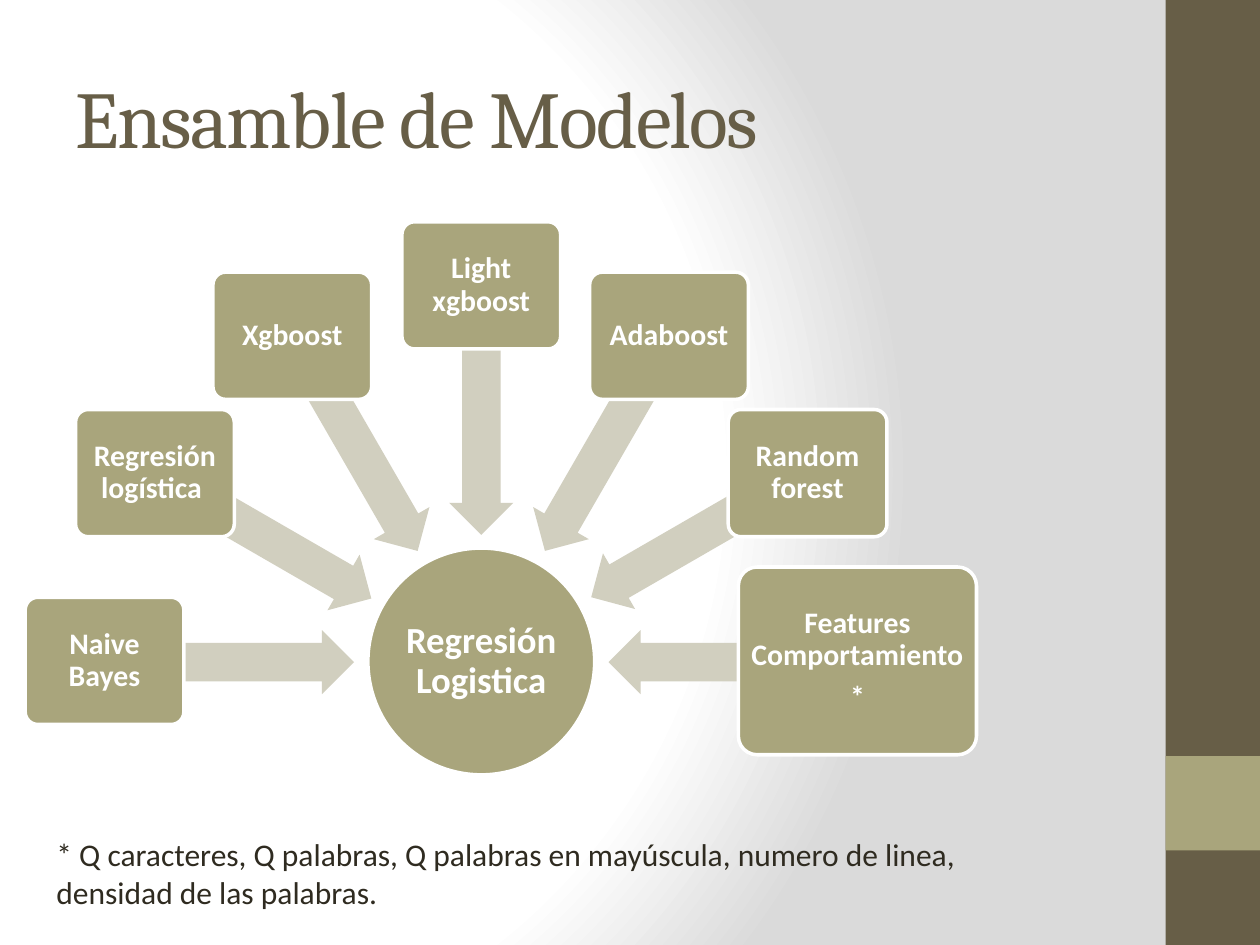
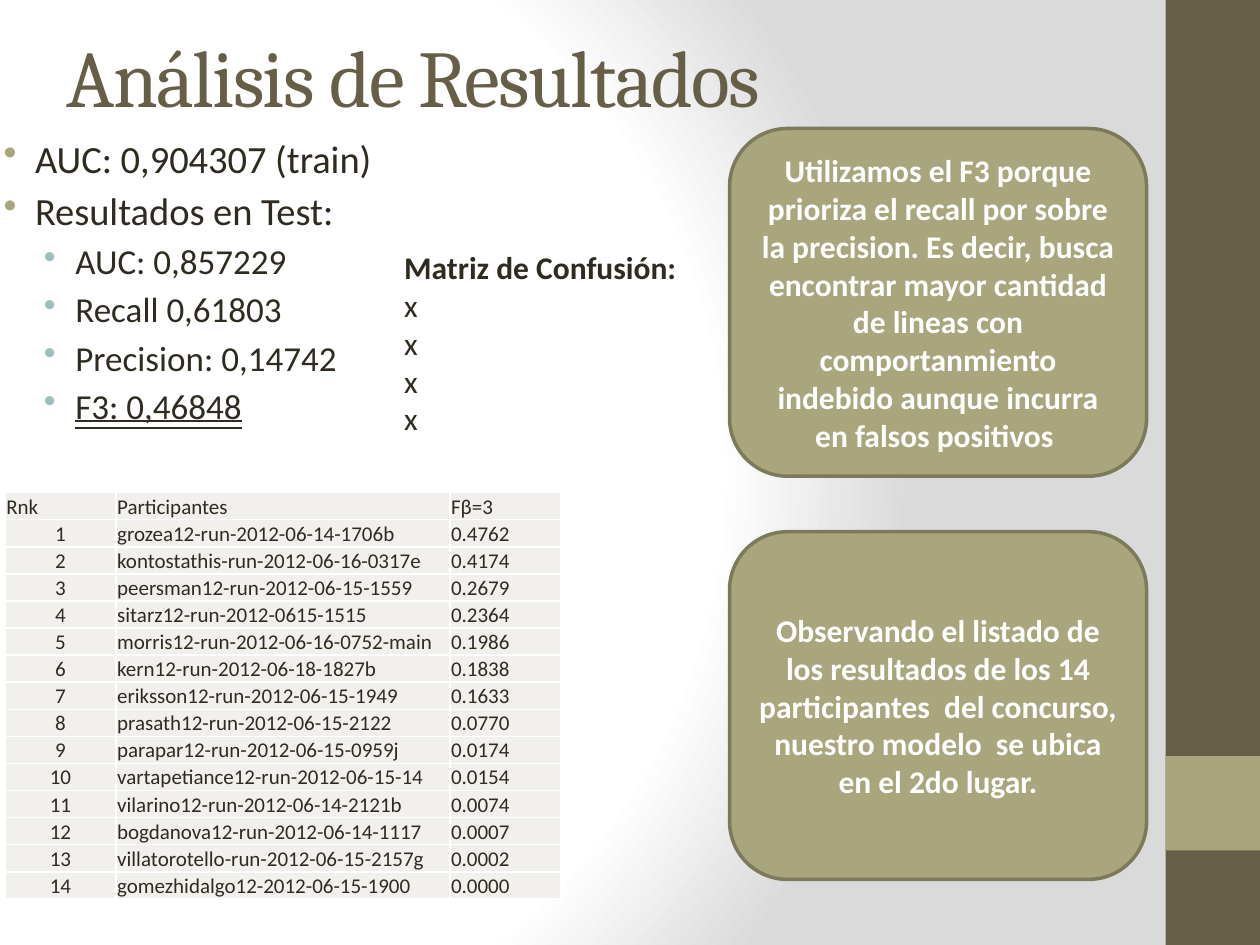
from dataclasses import dataclass
from math import cos, radians, sin

from lxml.etree import SubElement
from pptx import Presentation
from pptx.dml.color import RGBColor as Rgb
from pptx.enum.shapes import MSO_SHAPE as Kind
from pptx.enum.text import MSO_ANCHOR as Anchor, MSO_AUTO_SIZE as Fit
from pptx.enum.text import MSO_UNDERLINE as Under, PP_ALIGN as Align
from pptx.oxml import parse_xml
from pptx.oxml.ns import nsdecls, qn
from pptx.util import Pt


@dataclass(frozen=True)
class Theme:
    dark: str = "675E47"
    olive: str = "A9A57C"
    edge: str = "7D7A5C"
    pale: str = "D1CFBF"
    teal: str = "9CBEBD"
    cell: str = "F1F0EC"
    ink: str = "2F2B20"
    white: str = "FFFFFF"
    grey: str = "DADADA"
    head: str = "Cambria"
    body: str = "Calibri"
    title: int = 46
    top: int = 22
    hub: int = 21
    sub: int = 20
    note: int = 18
    node: int = 17
    small: int = 12


T = Theme()
UNIT = 9144  # EMU in one px, 100 px to the inch

MODELS = ["Naive Bayes", "Regresión logística ", "Xgboost", "Light xgboost",
          "Adaboost", "Random forest", "Features Comportamiento\n*"]
FOOT = ("* Q caracteres, Q palabras, Q palabras en mayúscula, "
        "numero de linea, densidad de las palabras.")
SCORES = [(0, "AUC: 0,904307 (train)"), (0, "Resultados en Test:"),
          (1, "AUC: 0,857229"), (1, "Recall 0,61803"),
          (1, "Precision: 0,14742"), (1, "F3: 0,46848")]
WHY = ("Utilizamos el F3 porque prioriza el recall por sobre la precision. "
       "Es decir, busca encontrar mayor cantidad de lineas con "
       "comportanmiento indebido aunque incurra en falsos positivos ")
PLACE = ("Observando el listado de los resultados de los 14 participantes  "
         "del concurso, nuestro modelo  se ubica en el 2do lugar.")
RUNS = [("grozea12-run-2012-06-14-1706b", "0.4762"),
        ("kontostathis-run-2012-06-16-0317e", "0.4174"),
        ("peersman12-run-2012-06-15-1559", "0.2679"),
        ("sitarz12-run-2012-0615-1515", "0.2364"),
        ("morris12-run-2012-06-16-0752-main", "0.1986"),
        ("kern12-run-2012-06-18-1827b", "0.1838"),
        ("eriksson12-run-2012-06-15-1949", "0.1633"),
        ("prasath12-run-2012-06-15-2122", "0.0770"),
        ("parapar12-run-2012-06-15-0959j", "0.0174"),
        ("vartapetiance12-run-2012-06-15-14", "0.0154"),
        ("vilarino12-run-2012-06-14-2121b", "0.0074"),
        ("bogdanova12-run-2012-06-14-1117", "0.0007"),
        ("villatorotello-run-2012-06-15-2157g", "0.0002"),
        ("gomezhidalgo12-2012-06-15-1900", "0.0000")]


def px(*vals):
    return [round(v) * UNIT for v in vals]


# Text
def style(par, size, color=T.ink, bold=False, name=T.body, align=Align.LEFT):
    par.alignment = align
    font = par.font
    font.name, font.size, font.bold = name, Pt(size), bold
    font.color.rgb = Rgb.from_string(color)


def pad(item, left, top, right, bottom):
    (item.margin_left, item.margin_top,
     item.margin_right, item.margin_bottom) = px(left, top, right, bottom)


def label(shape, text, size, inset=None):
    frame = shape.text_frame
    frame.word_wrap = True
    frame.vertical_anchor = Anchor.MIDDLE
    frame.text = text
    for par in frame.paragraphs:
        style(par, size, T.white, True, align=Align.CENTER)
    if inset is not None:
        pad(frame, *[inset] * 4)
        for par in frame.paragraphs:
            par.line_spacing = 0.9
        for par in frame.paragraphs[:-1]:
            par.space_after = Pt(6)


def write(slide, box, text, size, fit=Fit.SHAPE_TO_FIT_TEXT):
    frame = slide.shapes.add_textbox(*px(*box)).text_frame
    frame.word_wrap = True
    frame.auto_size = fit
    frame.text = text
    for par in frame.paragraphs:
        style(par, size)
    return frame.paragraphs


def bullet(par, level):
    par.space_before = Pt(3.6)
    props = par._p.get_or_add_pPr()
    left, hang = px((38, 70)[level], -25)
    props.set("marL", str(left))
    props.set("indent", str(hang))
    color = (T.olive, T.teal)[level]
    for xml in (f'<a:buClr {nsdecls("a")}><a:srgbClr val="{color}"/></a:buClr>',
                f'<a:buChar {nsdecls("a")} char="•"/>'):
        props.find(qn("a:defRPr")).addprevious(parse_xml(xml))


# Shapes
def draw(slide, kind, box, fill, line=None, adj=(), turn=0):
    shape = slide.shapes.add_shape(kind, *px(*box))
    shape.shadow.inherit = False
    shape.fill.solid()
    shape.fill.fore_color.rgb = Rgb.from_string(fill)
    if line:
        shape.line.color.rgb = Rgb.from_string(line)
        shape.line.width = Pt(2)
    else:
        shape.line.fill.background()
    for i, val in enumerate(adj):
        shape.adjustments[i] = val
    shape.rotation = turn
    return shape


def around(x, y, wide, high):
    return x - wide / 2, y - high / 2, wide, high


# Shared parts
def backdrop(master):
    master.background.fill.gradient()
    old = master.element.find(".//" + qn("a:gradFill"))
    stops = "".join(
        f'<a:gs pos="{pos}000"><a:srgbClr val="{color}"/></a:gs>'
        for pos, color in ((0, T.white), (75, T.white), (100, T.grey)))
    old.getparent().replace(old, parse_xml(
        f'<a:gradFill {nsdecls("a")} rotWithShape="1"><a:gsLst>{stops}</a:gsLst>'
        '<a:path path="circle"><a:fillToRect l="20000" t="50000" r="100000" '
        'b="50000"/></a:path></a:gradFill>'))


def bands(master, slide):
    tree = master.element.cSld.spTree
    parts = [((925, 0, 75, 750), T.dark), ((925, 600, 75, 75), T.olive)]
    for i, (box, fill) in enumerate(parts):
        item = draw(slide, Kind.RECTANGLE, box, fill).element
        item.nvSpPr.cNvPr.set("id", str(50 + i))
        tree.insert(2 + i, item)


def page(deck, text, left, top):
    slide = deck.slides.add_slide(deck.slide_layouts[5])
    title = slide.shapes.title
    title.left, title.top, title.width, title.height = px(left, top, 833, 125)
    frame = title.text_frame
    frame.text = text
    frame.vertical_anchor = Anchor.MIDDLE
    frame.auto_size = Fit.NONE
    par = frame.paragraphs[0]
    style(par, T.title, T.dark, name=T.head)
    par.runs[0]._r.get_or_add_rPr().set("spc", "-100")
    return slide


# Model fan
def fan(slide, x, y):
    hub = draw(slide, Kind.OVAL, around(x, y, 180, 180), T.olive, T.white)
    label(hub, "Regresión Logistica", T.hub, 1)
    for i, name in enumerate(MODELS):
        turn = 180 + 30 * i
        dx, dy = cos(radians(turn)), sin(radians(turn))
        draw(slide, Kind.LEFT_ARROW,
             around(x + 200 * dx, y + 200 * dy, 198, 51),
             T.pale, adj=(0.6, 0.5), turn=turn % 360)
        size = (189, 149) if i == len(MODELS) - 1 else (126, 101)
        node = draw(slide, Kind.ROUNDED_RECTANGLE,
                    around(x + 299 * dx, y + 299 * dy, *size),
                    T.olive, T.white, adj=(0.1,))
        label(node, name, T.node, 4)


# Ranking table
def border(cell):
    props = cell._tc.get_or_add_tcPr()
    for side in ("lnL", "lnR", "lnT", "lnB"):
        line = SubElement(props, qn("a:" + side), w=str(Pt(1)))
        fill = SubElement(line, qn("a:solidFill"))
        SubElement(fill, qn("a:srgbClr"), val=T.white)


def ranking(slide, box):
    rows = [("Rnk", "Participantes", "Fβ=3")]
    rows += [(str(i), *run) for i, run in enumerate(RUNS, 1)]
    table = slide.shapes.add_table(len(rows), 3, *px(*box)).table
    table.first_row = table.horz_banding = False
    for col, wide in zip(table.columns, px(88, 265, 88)):
        col.width = wide
    for r, row in enumerate(rows):
        for c, text in enumerate(row):
            cell = table.cell(r, c)
            cell.text = text
            cell.vertical_anchor = Anchor.BOTTOM
            pad(cell, 1, 1, 1, 0)
            border(cell)
            cell.fill.solid()
            cell.fill.fore_color.rgb = Rgb.from_string(T.cell)
            mid = r > 0 and c == 0
            style(cell.text_frame.paragraphs[0], T.small,
                  align=Align.CENTER if mid else Align.LEFT)


def remark(slide, top, text):
    box = draw(slide, Kind.ROUNDED_RECTANGLE, (579, top, 331, 276),
               T.olive, T.edge)
    label(box, text, T.note)


def scores(slide, box):
    text = "\n".join(line for _, line in SCORES)
    pars = write(slide, box, text, T.top, Fit.NONE)
    for par, (level, _) in zip(pars, SCORES):
        par.font.size = Pt((T.top, T.sub)[level])
        bullet(par, level)
    pars[-1].font.underline = Under.DOUBLE_LINE


def main():
    deck = Presentation()
    deck.slide_width, deck.slide_height = px(1000, 750)
    backdrop(deck.slide_master)

    # Ensemble
    slide = page(deck, "Ensamble de Modelos", 50, 30)
    bands(deck.slide_master, slide)
    fan(slide, 382, 525)
    write(slide, (35, 658, 803, 71), FOOT, T.note)

    # Results
    slide = page(deck, "Análisis de Resultados", 43, -3)
    scores(slide, (-20, 102, 394, 276))
    remark(slide, 102, WHY)
    ranking(slide, (4, 391, 441, 323))
    remark(slide, 422, PLACE)
    grid = write(slide, (311, 192, 244, 162),
                 "Matriz de Confusión:\nx\nx\nx\nx", T.note)
    grid[0].font.bold = True

    deck.save("out.pptx")


if __name__ == "__main__":
    main()
